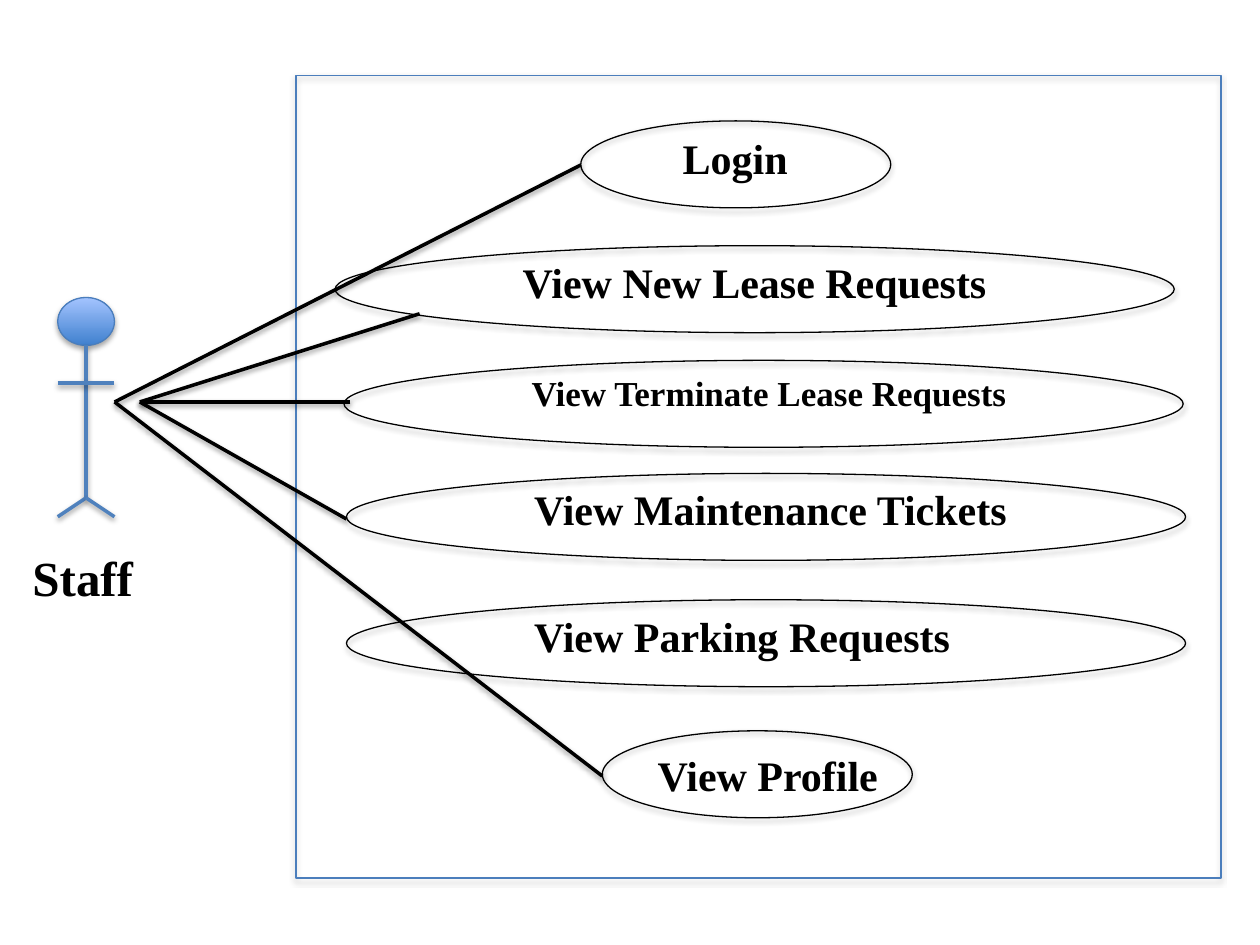
from lxml.etree import SubElement
from pptx import Presentation
from pptx.dml.color import RGBColor
from pptx.enum.shapes import MSO_CONNECTOR as Connector, MSO_SHAPE as Preset
from pptx.enum.text import MSO_AUTO_SIZE as AutoSize
from pptx.oxml.ns import qn
from pptx.util import Pt

BLACK = RGBColor(0x00, 0x00, 0x00)
FRAME_BLUE = RGBColor(0x4B, 0x7E, 0xBC)
LIMB_BLUE = RGBColor(0x4F, 0x81, 0xBD)
HEAD_DARK = RGBColor(0x3F, 0x80, 0xCE)
HEAD_LIGHT = RGBColor(0xA4, 0xC4, 0xFF)

FRAME = (169.2, 43.2, 528.5, 458.6)
ACTOR = (33, 170, 32.4, 125.3)
OVAL_HEIGHT = 49.7
NARROW, WIDE = 177.1, 479.5

USE_CASES = [
    ("Login", (162.7, 25.9, NARROW), (51.1, 2.9, 78.5), 24, True),
    ("View New Lease Requests", (22.3, 97.2, WIDE), (100.1, 2.9, 329), 24, True),
    ("View Terminate Lease Requests", (27.4, 162.7, WIDE), (100.1, 2.9, 329), 20, True),
    ("View Maintenance Tickets", (28.8, 227.3, WIDE), (100.1, 2.5, 329), 24, True),
    ("View Parking Requests", (28.8, 299.5, WIDE), (100.1, 2.9, 329), 24, True),
    ("View Profile", (175, 374.4, NARROW), (24.5, 7.2, 141.8), 24, False),
]

LINK_Y = 229.7
NEAR_X, FAR_X = 65.5, 79.9
LINKS = [
    ((331.9, 94.3), NEAR_X),
    ((344.2, 443.5), NEAR_X),
    ((239.8, 179.3), FAR_X),
    ((200.2, LINK_Y), FAR_X),
    ((198, 296.6), FAR_X),
]


def add_shadow(shape, distance, opacity):
    properties = shape._element.spPr
    for old in properties.findall(qn("a:effectLst")):
        properties.remove(old)
    effects = SubElement(properties, qn("a:effectLst"))
    shadow = SubElement(effects, qn("a:outerShdw"), blurRad=str(Pt(3.1)),
                        dist=str(Pt(distance)), dir="5400000", rotWithShape="0")
    color = SubElement(shadow, qn("a:srgbClr"), val=str(BLACK))
    SubElement(color, qn("a:alpha"), val=str(opacity * 1000))


def add_outline(slide, preset, box, color, gradient=None):
    shape = slide.shapes.add_shape(preset, *map(Pt, box))
    if gradient:
        shape.fill.gradient()
        shape.fill.gradient_angle = 90
        for stop, stop_color, position in zip(shape.fill.gradient_stops, gradient, (0, 1)):
            stop.color.rgb = stop_color
            stop.position = position
    else:
        shape.fill.background()
    shape.line.color.rgb = color
    shape.line.width = Pt(0.75)
    add_shadow(shape, 1.8, 35)


def add_line(slide, start, end, color):
    line = slide.shapes.add_connector(Connector.STRAIGHT, *map(Pt, (*start, *end)))
    line.line.color.rgb = color
    line.line.width = Pt(2)
    add_shadow(line, 1.6, 38)


def add_text(slide, text, box, size=24, wrap=True, color=BLACK, font="Times New Roman"):
    frame = slide.shapes.add_textbox(*map(Pt, box)).text_frame
    frame.word_wrap = wrap
    frame.auto_size = AutoSize.SHAPE_TO_FIT_TEXT
    run = frame.paragraphs[0].add_run()
    run.text = text
    run.font.name = font
    run.font.size = Pt(size)
    run.font.bold = True
    run.font.color.rgb = color


def draw_actor(slide, box, name):
    left, top, width, height = box
    right, bottom, center = left + width, top + height, left + width / 2
    arms, hips = top + 49, top + 114.5
    head_height = 27.4
    add_outline(slide, Preset.OVAL, (left, top, width, head_height), FRAME_BLUE,
                gradient=(HEAD_DARK, HEAD_LIGHT))
    limbs = [
        ((center, top + head_height), (center, hips)),
        ((left, arms), (right, arms)),
        ((center, hips), (left, bottom)),
        ((center, hips), (right, bottom)),
    ]
    for start, end in limbs:
        add_line(slide, start, end, LIMB_BLUE)
    add_text(slide, name, (left - 21.5, bottom + 14.3, 74.9, 41), size=28, wrap=False)


def draw_system(slide, box):
    left, top = box[:2]
    add_outline(slide, Preset.RECTANGLE, box, FRAME_BLUE)
    for text, (x, y, width), (indent, drop, text_width), size, wrap in USE_CASES:
        oval_left, oval_top = left + x, top + y
        add_outline(slide, Preset.OVAL, (oval_left, oval_top, width, OVAL_HEIGHT), BLACK)
        label = (oval_left + indent, oval_top + drop, text_width, size * 1.2 + 7.2)
        add_text(slide, text, label, size=size, wrap=wrap)


def draw_links(slide):
    for start, x in LINKS:
        add_line(slide, start, (x, LINK_Y), BLACK)


presentation = Presentation()
presentation.slide_width = Pt(720)
presentation.slide_height = Pt(540)
slide = presentation.slides.add_slide(presentation.slide_layouts[6])
draw_actor(slide, ACTOR, "Staff")
draw_system(slide, FRAME)
draw_links(slide)
presentation.save("out.pptx")
